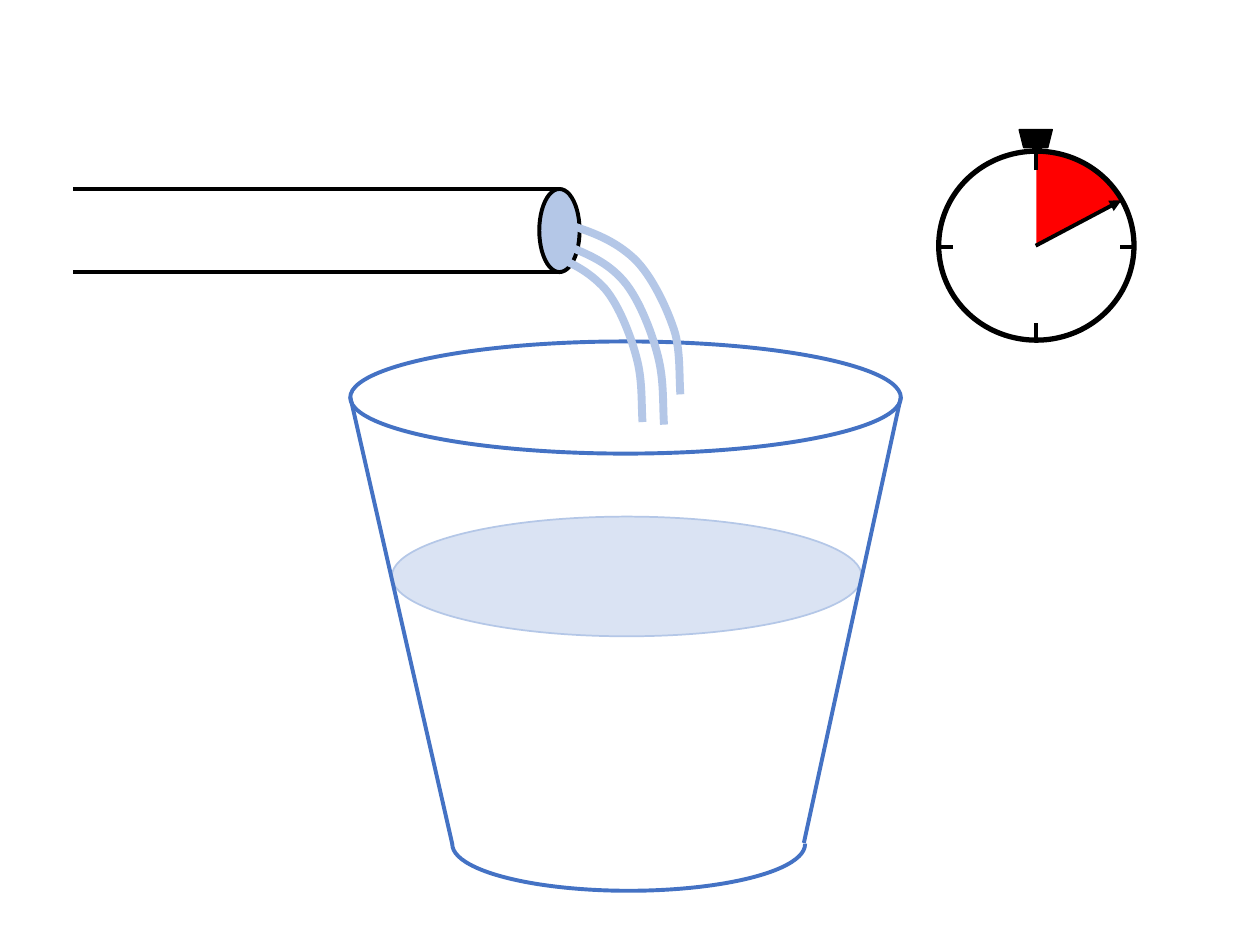
from lxml import etree
from pptx import Presentation
from pptx.dml.color import RGBColor
from pptx.enum.shapes import MSO_CONNECTOR, MSO_SHAPE as SHAPE
from pptx.oxml.ns import qn
from pptx.util import Inches, Pt

BLACK, BLUE, RED = "000000", "4472C4", "FF0000"
STREAM, WATER = "B4C7E7", "DAE3F3"


def rgb(color):
    return RGBColor.from_string(color)


def set_line(s, color, width):
    s.line.color.rgb = rgb(color)
    s.line.width = Pt(width)


def style(s, fill, color, width):
    s.shadow.inherit = False
    if fill:
        s.fill.solid()
        s.fill.fore_color.rgb = rgb(fill)
    else:
        s.fill.background()
    set_line(s, color, width)


def add_shape(shapes, kind, box, fill=None, color=BLACK, width=2.25, adj=()):
    s = shapes.add_shape(kind, *map(Inches, box))
    style(s, fill, color, width)
    for i, value in enumerate(adj):
        s.adjustments[i] = value
    return s


def add_arc(shapes, box, start, end, **kwargs):
    """Arc between two angles in degrees, clockwise from the right."""
    adj = [angle * 0.6 for angle in (start, end)]
    return add_shape(shapes, SHAPE.ARC, box, adj=adj, **kwargs)


def add_line(shapes, x1, y1, x2, y2, color=BLACK, arrow=False):
    s = shapes.add_connector(MSO_CONNECTOR.STRAIGHT,
                             *map(Inches, (x1, y1, x2, y2)))
    set_line(s, color, 2.25)
    if arrow:
        etree.SubElement(s.line._get_or_add_ln(), qn("a:tailEnd"), type="triangle")
    etree.SubElement(s._element.spPr, qn("a:effectLst"))
    return s


def add_curve(shapes, points, color, width):
    """Bezier curve: a start point, then three points for each segment."""
    (x, y), *rest = points
    builder = shapes.build_freeform(Inches(x), Inches(y))
    builder.add_line_segments([(Inches(px), Inches(py)) for px, py in rest],
                              close=False)
    s = builder.convert_to_shape()
    style(s, None, color, width)
    # Turn every three straight segments into one cubic segment
    path = next(s._element.iter(qn("a:path")))
    steps = path.findall(qn("a:lnTo"))
    for i in range(0, len(steps), 3):
        cubic = etree.SubElement(path, qn("a:cubicBezTo"))
        for step in steps[i:i + 3]:
            cubic.append(step[0])
            path.remove(step)
    return s


def add_bucket(shapes):
    add_shape(shapes, SHAPE.OVAL, (2.78, 2.71, 4.37, 0.89), color=BLUE)
    add_shape(shapes, SHAPE.OVAL, (3.11, 4.1, 3.73, 0.95), WATER, STREAM, 1)
    add_line(shapes, 2.78, 3.15, 3.59, 6.7, BLUE)
    add_line(shapes, 7.15, 3.15, 6.38, 6.69, BLUE)
    add_arc(shapes, (3.59, 6.33, 2.8, 0.74), 359.84, 180.18, color=BLUE)


def add_pipe(shapes):
    add_shape(shapes, SHAPE.OVAL, (4.28, 1.5, 0.32, 0.66), STREAM)
    for y in (1.5, 2.16):
        add_line(shapes, 4.45, y, 0.58, y)


def add_streams(shapes):
    streams = [
        [(4.5, 1.95), (4.67, 2.02), (4.82, 2.08), (4.95, 2.23),
         (5.08, 2.38), (5.19, 2.68), (5.23, 2.86),
         (5.27, 3.04), (5.26, 3.21), (5.27, 3.37)],
        [(4.5, 1.78), (4.7, 1.84), (4.88, 1.91), (5.03, 2.05),
         (5.18, 2.19), (5.31, 2.48), (5.36, 2.65),
         (5.4, 2.81), (5.39, 2.98), (5.4, 3.13)],
        [(4.36, 2.02), (4.53, 2.08), (4.67, 2.15), (4.8, 2.29),
         (4.92, 2.43), (5.02, 2.7), (5.06, 2.87),
         (5.1, 3.04), (5.09, 3.2), (5.1, 3.35)],
    ]
    for points in streams:
        add_curve(shapes, points, STREAM, 4.5)


def add_stopwatch(shapes):
    add_shape(shapes, SHAPE.OVAL, (7.45, 1.2, 1.55, 1.5), width=3)
    add_line(shapes, 8.22, 1.95, 8.9, 1.59, arrow=True)
    # Push button
    add_shape(shapes, SHAPE.RECTANGLE, (8.2, 1.13, 0.06, 0.06), BLACK, width=1)
    button = add_shape(shapes, SHAPE.TRAPEZOID, (8.09, 1.03, 0.26, 0.14),
                       BLACK, width=1)
    button.rotation = 180
    # Quarter marks
    for y in (2.56, 1.2):
        add_line(shapes, 8.22, y + 0.15, 8.22, y)
    for x in (8.89, 7.45):
        add_line(shapes, x, 1.96, x + 0.11, 1.96)


def main():
    prs = Presentation()
    prs.slide_width, prs.slide_height = Inches(10), Inches(7.5)
    slide = prs.slides.add_slide(prs.slide_layouts[6])
    shapes = slide.shapes.add_group_shape().shapes

    # Elapsed time lies behind everything else
    add_arc(shapes, (7.45, 1.2, 1.55, 1.49), 270, 333.21,
            fill=RED, color=BLUE, width=0.5)
    add_bucket(shapes)
    add_pipe(shapes)
    add_streams(shapes)
    add_stopwatch(shapes)
    prs.save("out.pptx")


if __name__ == "__main__":
    main()
